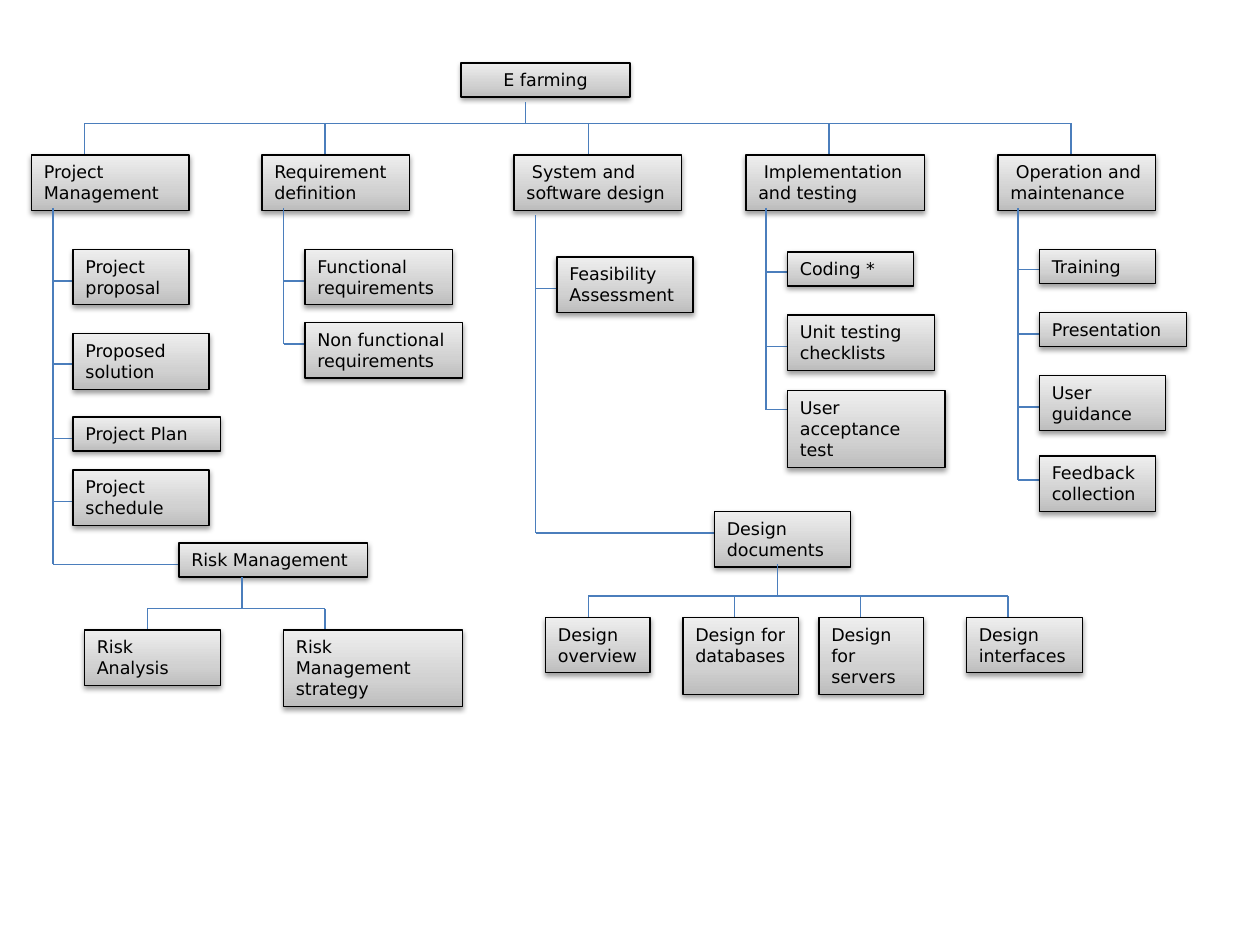
"""Work breakdown chart of the E farming project."""
from copy import deepcopy

from lxml import etree
from pptx import Presentation
from pptx.dml.color import RGBColor
from pptx.enum import shapes, text
from pptx.oxml.ns import qn
from pptx.util import Inches, Pt

BLACK = RGBColor(0x00, 0x00, 0x00)
BLUE = RGBColor(0x4B, 0x7E, 0xBC)
SHADES = ((0, RGBColor(0xBD, 0xBD, 0xBD)),
          (35, RGBColor(0xD1, 0xD1, 0xD1)),
          (100, RGBColor(0xEE, 0xEE, 0xEE)))


class Chart:
    """Draws the boxes and joining lines of a breakdown chart on one slide."""

    font = "DejaVu Sans"
    size = Pt(10)
    stroke = Pt(0.75)

    def __init__(self, slide):
        """Keep the slide to draw on."""
        self.slide = slide

    def line(self, x1, y1, x2, y2):
        """Draw a thin joining line."""
        joint = self.slide.shapes.add_connector(
            shapes.MSO_CONNECTOR.STRAIGHT,
            Inches(x1), Inches(y1), Inches(x2), Inches(y2))
        joint.line.color.rgb = BLUE
        joint.line.width = self.stroke
        etree.SubElement(joint._element.spPr, qn("a:effectLst"))

    def shade(self, box):
        """Give a box its three-step gradient and soft shadow."""
        box.fill.gradient()
        box.fill.gradient_angle = 90
        stops = box._element.spPr.find(qn("a:gradFill")).find(qn("a:gsLst"))
        stops.append(deepcopy(stops[-1]))
        for stop, (position, color) in zip(box.fill.gradient_stops, SHADES):
            stop.position = position / 100
            stop.color.rgb = color
        box.shadow.inherit = False
        effects = box._element.spPr.find(qn("a:effectLst"))
        shadow = etree.SubElement(
            effects, qn("a:outerShdw"), blurRad=str(Pt(3.1)),
            dist=str(Pt(1.6)), dir="5400000", rotWithShape="0")
        tint = etree.SubElement(shadow, qn("a:srgbClr"), val=str(BLACK))
        etree.SubElement(tint, qn("a:alpha"), val="38000")

    def box(self, label, left, top, width, lines=2, align=text.PP_ALIGN.LEFT):
        """Draw a labelled box as tall as its number of text lines."""
        box = self.slide.shapes.add_shape(
            shapes.MSO_SHAPE.RECTANGLE, Inches(left), Inches(top),
            Inches(width), Inches(0.1 + 0.17 * lines))
        box.line.color.rgb = BLACK
        box.line.width = self.stroke
        self.shade(box)
        frame = box.text_frame
        frame.word_wrap = True
        frame.vertical_anchor = text.MSO_ANCHOR.TOP
        frame.text = label
        paragraph = frame.paragraphs[0]
        paragraph.alignment = align
        paragraph.font.name = self.font
        paragraph.font.size = self.size
        paragraph.font.color.rgb = BLACK

    def fork(self, stem, top, bus, row, parts):
        """Hang a row of boxes from a horizontal line below a stem."""
        drops = [part[0] for part in parts]
        self.line(stem, top, stem, bus)
        self.line(drops[0], bus, drops[-1], bus)
        for drop, label, left, width, lines in parts:
            self.line(drop, bus, drop, row)
            self.box(label, left, row, width, lines)

    def branch(self, trunk, top, parts):
        """Hang a column of boxes from a vertical trunk."""
        self.line(trunk, top, trunk, parts[-1][0])
        for joint, label, left, y, width, lines in parts:
            self.line(trunk, joint, left, joint)
            self.box(label, left, y, width, lines)


deck = Presentation()
deck.slide_width, deck.slide_height = Inches(10), Inches(7.5)
chart = Chart(deck.slides.add_slide(deck.slide_layouts[6]))

chart.box("E farming", 3.66, 0.5, 1.34, 1, text.PP_ALIGN.CENTER)
chart.fork(4.17, 0.81, 0.98, 1.23, [
    (0.67, "Project Management", 0.25, 1.25, 2),
    (2.58, "Requirement definition", 2.08, 1.17, 2),
    (4.67, " System and software design", 4.08, 1.33, 2),
    (6.58, " Implementation and testing", 5.92, 1.42, 2),
    (8.5, " Operation and maintenance", 7.92, 1.25, 2),
])

chart.branch(0.42, 1.65, [
    (2.23, "Project proposal", 0.58, 1.98, 0.92, 2),
    (2.89, "Proposed solution", 0.58, 2.65, 1.08, 2),
    (3.48, "Project Plan", 0.58, 3.31, 1.17, 1),
    (3.98, "Project schedule", 0.58, 3.73, 1.08, 2),
    (4.48, "Risk Management", 1.42, 4.31, 1.5, 1),
])
chart.branch(2.25, 1.65, [
    (2.23, "Functional requirements", 2.42, 1.98, 1.17, 2),
    (2.73, "Non functional requirements", 2.42, 2.56, 1.25, 2),
])
chart.branch(4.25, 1.71, [
    (2.29, "Feasibility Assessment", 4.42, 2.04, 1.08, 2),
    (4.23, "Design documents", 5.67, 4.06, 1.08, 2),
])
chart.branch(6.08, 1.65, [
    (2.16, "Coding *", 6.25, 2, 1, 1),
    (2.75, "Unit testing checklists", 6.25, 2.5, 1.17, 2),
    (3.25, "User acceptance test", 6.25, 3.1, 1.25, 3),
])
chart.branch(8.08, 1.65, [
    (2.14, "Training", 8.25, 1.98, 0.92, 1),
    (2.65, "Presentation", 8.25, 2.48, 1.17, 1),
    (3.23, "User guidance", 8.25, 2.98, 1, 2),
    (3.81, "Feedback collection", 8.25, 3.62, 0.92, 2),
])

chart.fork(1.92, 4.58, 4.83, 5, [
    (1.17, "Risk Analysis", 0.67, 1.08, 2),
    (2.58, "Risk Management strategy", 2.25, 1.42, 3),
])
chart.fork(6.17, 4.48, 4.73, 4.9, [
    (4.67, "Design overview", 4.33, 0.83, 2),
    (5.83, "Design for databases", 5.42, 0.92, 3),
    (6.83, "Design for servers", 6.5, 0.83, 3),
    (8, "Design interfaces", 7.67, 0.92, 2),
])

deck.save("out.pptx")
